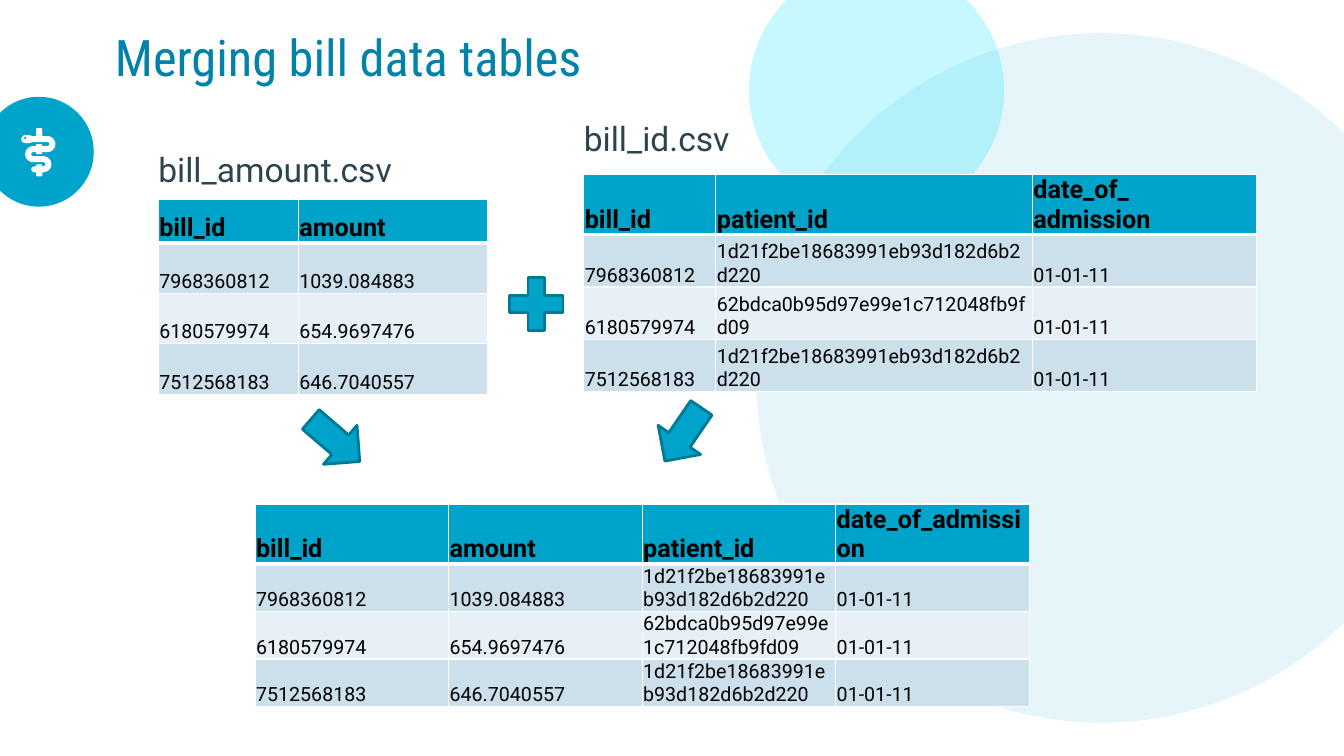
import math

import lxml.etree
import pptx
import pptx.dml.color
import pptx.enum.shapes
import pptx.enum.text
import pptx.oxml.ns
import pptx.util

SCALE = 9144  # EMU per px, 100 px to the inch
COLORS = {
    "teal": "00A4CA", "title": "0082A9", "label": "2C444E", "cyan": "00E1FF",
    "outline": "007995", "band": "CCE0EC", "light": "E7F0F6",
    "white": "FFFFFF", "black": "000000",
}
SHAPE = pptx.enum.shapes.MSO_SHAPE
ANCHOR = pptx.enum.text.MSO_ANCHOR

BILLS = ["7968360812", "6180579974", "7512568183"]
AMOUNTS = ["1039.084883", "654.9697476", "646.7040557"]
PATIENTS = ["1d21f2be18683991eb93d182d6b2d220",
            "62bdca0b95d97e99e1c712048fb9fd09",
            "1d21f2be18683991eb93d182d6b2d220"]
DATES = ["01-01-11"] * 3


def px(n):
    return pptx.util.Emu(round(n * SCALE))


def rgb(name):
    return pptx.dml.color.RGBColor.from_string(COLORS[name])


def sub(parent, tag, **attrs):
    return lxml.etree.SubElement(parent, pptx.oxml.ns.qn(tag), attrs)


def write(tf, text, size, color, font="Roboto", bold=False, spacing=None, before=0):
    """Fill a text frame, one paragraph per line of text."""
    tf.word_wrap = True
    for i, line in enumerate(text.split("\n")):
        p = tf.paragraphs[0] if i == 0 else tf.add_paragraph()
        p.alignment = pptx.enum.text.PP_ALIGN.LEFT
        p.space_before = pptx.util.Pt(before)
        if spacing:
            p.line_spacing = spacing
        r = p.add_run()
        r.text = line
        r.font.size = pptx.util.Pt(size)
        r.font.name = font
        r.font.bold = bold
        r.font.color.rgb = rgb(color)


def place_text(sp, box, text, anchor=ANCHOR.TOP, **fmt):
    sp.left, sp.top, sp.width, sp.height = map(px, box)
    tf = sp.text_frame
    tf.margin_left = tf.margin_top = tf.margin_right = tf.margin_bottom = 0
    tf.auto_size = pptx.enum.text.MSO_AUTO_SIZE.NONE
    tf.vertical_anchor = anchor
    write(tf, text, **fmt)


def add_label(sp, box, text):
    place_text(sp, box, text, size=24, color="label", spacing=1.15, before=8)


def add_figure(s, kind, box, fill="teal", line=None, rotation=0, opacity=None):
    sp = s.shapes.add_shape(kind, *map(px, box))
    sp.shadow.inherit = False
    sp.rotation = rotation
    sp.fill.solid()
    sp.fill.fore_color.rgb = rgb(fill)
    if opacity:
        clr = sp.fill._xPr.find(".//" + pptx.oxml.ns.qn("a:srgbClr"))
        sub(clr, "a:alpha", val=str(opacity * 1000))
    if line:
        sp.line.color.rgb = rgb(line)
        sp.line.width = pptx.util.Pt(2)
    else:
        sp.line.fill.background()
    return sp


def add_cut_circle(s, box, **fmt):
    """Add a circle whose side beyond the slide edge is cut off."""
    sp = add_figure(s, SHAPE.CHORD, box, **fmt)
    sp.adjustments[0], sp.adjustments[1] = 27, 189.003


def half_turn(cx, cy, radius, side):
    """Points of a downward half circle, to the right (1) or left (-1)."""
    angles = [math.pi * i / 12 for i in range(13)]
    return [(cx + side * radius * math.sin(a), cy - radius * math.cos(a)) for a in angles]


def add_medical_badge(s, x, y, size):
    add_cut_circle(s, (x, y, size, size), rotation=180)
    left, top = x + 37, y + 31
    for kind, dy, height in ((SHAPE.ROUNDED_RECTANGLE, 0, 9),
                             (SHAPE.RECTANGLE, 16, 10),
                             (SHAPE.ROUNDED_RECTANGLE, 36, 12)):
        add_figure(s, kind, (left + 15, top + dy, 6, height), "white")
    points = [(left + 8, top + 11)]
    for dx, dy, side in ((26, 16, 1), (12, 26, -1), (22, 36, 1)):
        points += half_turn(left + dx, top + dy, 5, side)
    points.append((left + 13, top + 41))
    points = [(px(a), px(b)) for a, b in points]
    builder = s.shapes.build_freeform(*points[0], scale=1.0)
    builder.add_line_segments(points[1:], close=False)
    snake = builder.convert_to_shape()
    snake.shadow.inherit = False
    snake.fill.background()
    snake.line.color.rgb = rgb("white")
    snake.line.width = px(6)
    snake.line._get_or_add_ln().set("cap", "rnd")
    add_figure(s, SHAPE.ROUNDED_RECTANGLE, (left, top + 7, 12, 8), "white").adjustments[0] = 0.5
    add_figure(s, SHAPE.OVAL, (left + 3, top + 9, 2, 2))


def set_borders(cell, top, bottom):
    tcPr = cell._tc.get_or_add_tcPr()
    for side, width in (("L", 1), ("R", 1), ("T", top), ("B", bottom)):
        ln = sub(tcPr, f"a:ln{side}", w=str(pptx.util.Pt(width)))
        sub(sub(ln, "a:solidFill"), "a:srgbClr", val=COLORS["white"])


def add_bill_table(s, x, y, widths, header_height, row_height, columns):
    """Add a table from a dict of header to column values."""
    rows = [list(columns), *zip(*columns.values())]
    heights = [header_height] + [row_height] * (len(rows) - 1)
    box = (x, y, sum(widths), sum(heights))
    table = s.shapes.add_table(len(rows), len(widths), *map(px, box)).table
    for column, width in zip(table.columns, widths):
        column.width = px(width)
    for i, values in enumerate(rows):
        table.rows[i].height = px(heights[i])
        fill = "teal" if i == 0 else ("band" if i % 2 else "light")
        for j, value in enumerate(values):
            cell = table.cell(i, j)
            set_borders(cell, top=3 if i == 1 else 1, bottom=3 if i == 0 else 1)
            cell.fill.solid()
            cell.fill.fore_color.rgb = rgb(fill)
            cell.margin_left = cell.margin_top = cell.margin_right = px(1)
            cell.margin_bottom = 0
            cell.vertical_anchor = ANCHOR.BOTTOM
            write(cell.text_frame, value, 14 if i else 18, "black", bold=i == 0)


def add_background(s):
    add_cut_circle(s, (750, 33, 684, 684), opacity=10)
    add_medical_badge(s, -16, 96, 109)
    add_cut_circle(s, (743, -37, 253, 253), fill="cyan", rotation=270, opacity=22)


def add_headings(s):
    place_text(s.shapes.title, (114, 5, 596, 109), "Merging bill data tables",
               anchor=ANCHOR.MIDDLE, size=36, color="title",
               font="Roboto Condensed", spacing=0.9)
    body = s.placeholders[1]
    add_label(body, (579, 111, 596, 71), "bill_id.csv")
    pPr = body.text_frame.paragraphs[0]._p.get_or_add_pPr()
    pPr.set("marL", "0")
    pPr.set("indent", "0")
    sub(pPr, "a:buNone")
    add_label(s.shapes.add_textbox(0, 0, 0, 0), (157, 142, 596, 71), "bill_amount.csv")


def add_tables(s):
    add_bill_table(s, 579, 173, [131, 314, 222], 44, 52, {
        "bill_id": BILLS, "patient_id": PATIENTS, "date_of_\nadmission": DATES})
    add_bill_table(s, 157, 198, [139, 188], 43, 50, {
        "bill_id": BILLS, "amount": AMOUNTS})
    add_bill_table(s, 253, 500, [192] * 4, 41, 41, {
        "bill_id": BILLS, "amount": AMOUNTS,
        "patient_id": PATIENTS, "date_of_admission": DATES})


def add_merge_signs(s):
    for x, y, rotation in ((307, 405, 130.7), (652, 399, 214.4)):
        add_figure(s, SHAPE.UP_ARROW, (x, y, 51, 64), line="outline", rotation=rotation)
    add_figure(s, SHAPE.MATH_PLUS, (496, 266, 72, 71), line="outline")


def main():
    prs = pptx.Presentation()
    prs.slide_width, prs.slide_height = px(1333), px(750)
    s = prs.slides.add_slide(prs.slide_layouts[1])
    add_background(s)
    add_headings(s)
    add_tables(s)
    add_merge_signs(s)
    prs.save("out.pptx")


if __name__ == "__main__":
    main()
